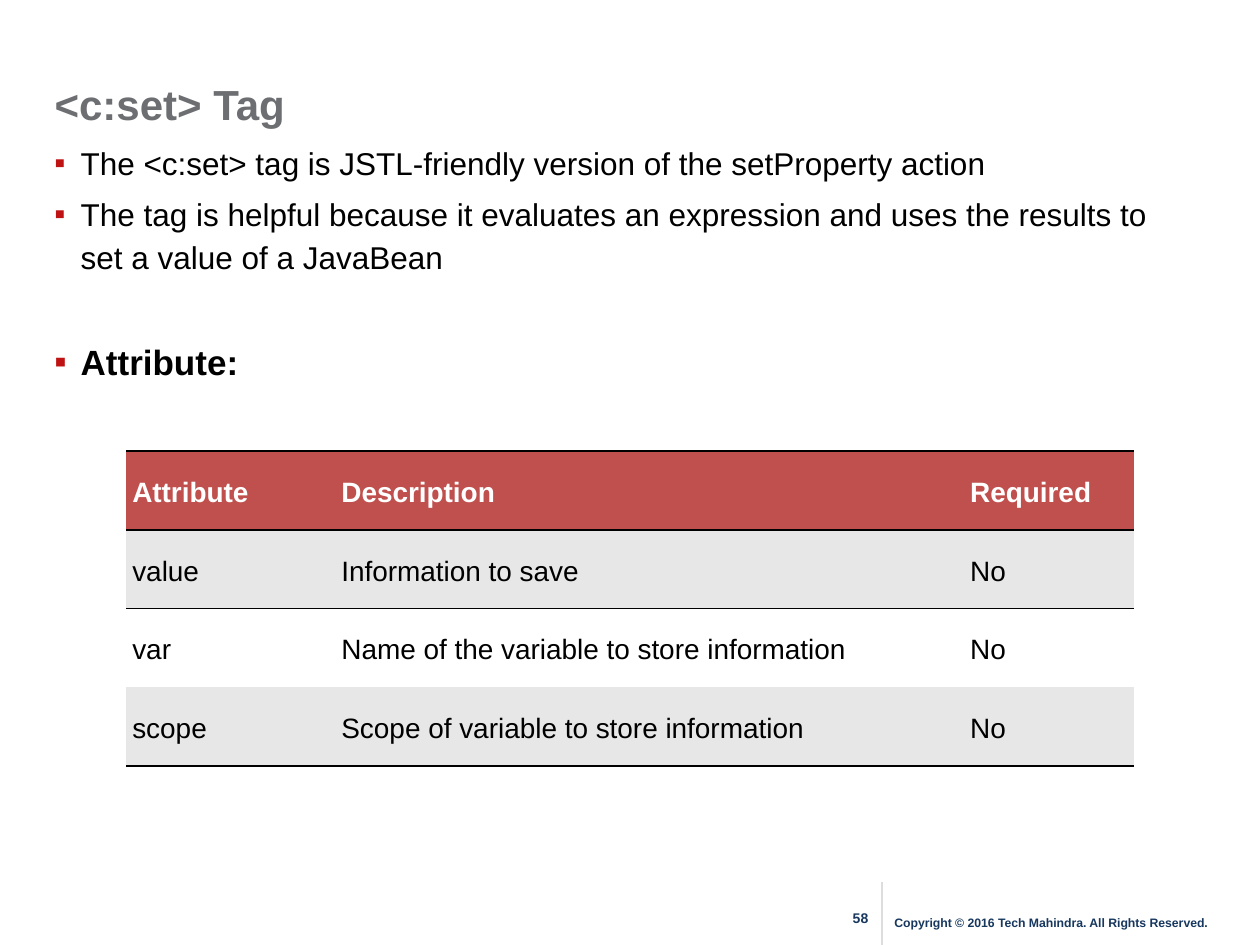
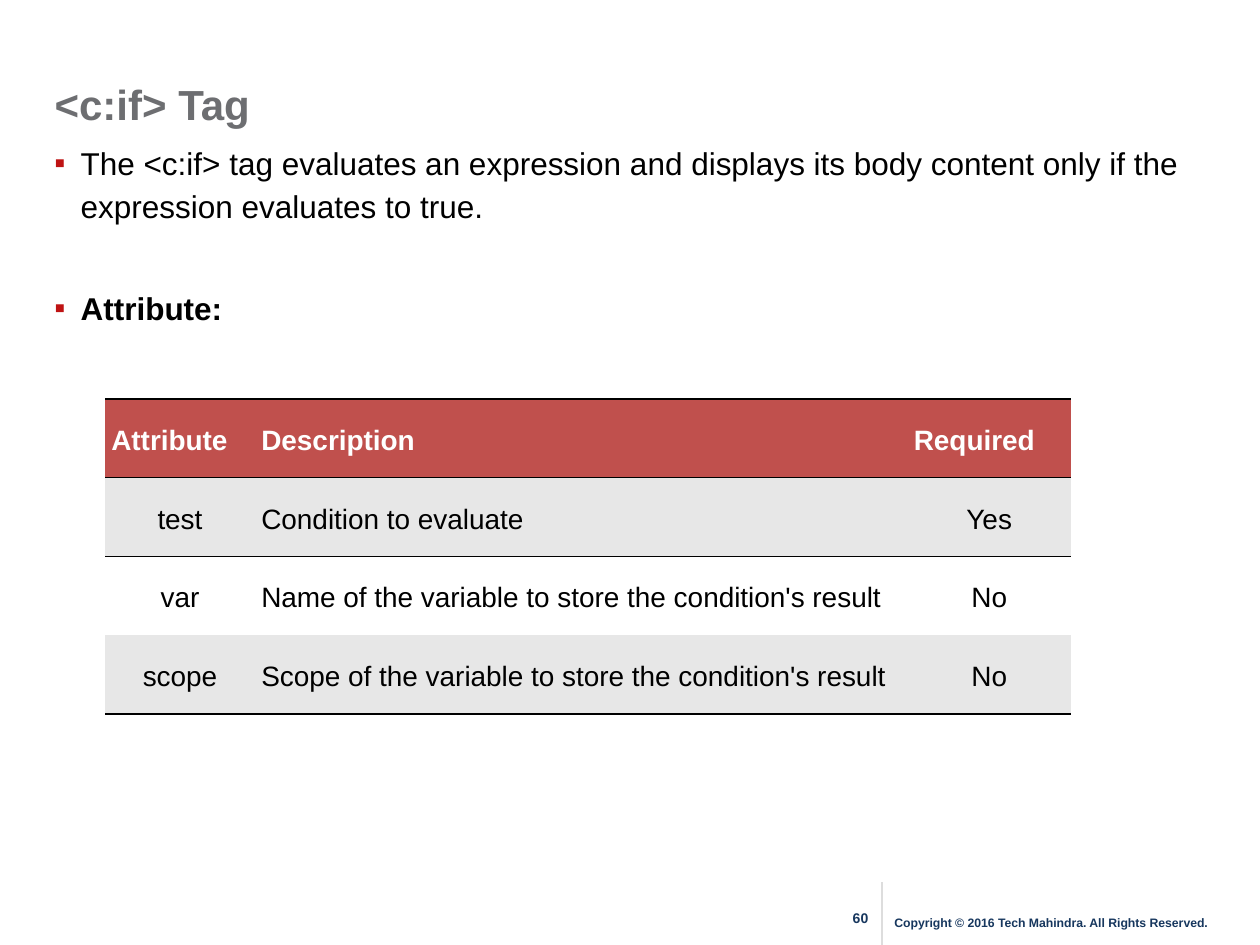
from lxml.etree import SubElement
from pptx import Presentation
from pptx.dml.color import RGBColor
from pptx.enum.shapes import MSO_CONNECTOR
from pptx.enum.text import MSO_ANCHOR, MSO_AUTO_SIZE, PP_ALIGN
from pptx.oxml import parse_xml
from pptx.oxml.ns import nsdecls, qn
from pptx.util import Pt

GREY = RGBColor(0x6D, 0x6E, 0x71)
NAVY = RGBColor(0x17, 0x37, 0x5E)
BLACK = RGBColor(0, 0, 0)
WHITE = RGBColor(0xFF, 0xFF, 0xFF)
BRICK = RGBColor(0xC0, 0x50, 0x4D)
BAND = RGBColor(0xE7, 0xE7, 0xE7)
RULE = RGBColor(0xDD, 0xDD, 0xDD)
RED = RGBColor(0xBF, 0x13, 0x13)
PLAIN = "{2D5ABB26-0587-4C30-8999-92F81FD0307C}"
NOTICE = "Copyright © 2016 Tech Mahindra. All Rights Reserved."
HEADS = ["Attribute", "Description", "Required"]


class Deck:
    face = "Arial"
    indent = 15

    def __init__(self):
        self.show = Presentation()
        self.show.slide_width, self.show.slide_height = Pt(720), Pt(540)
        self.slide = None

    def page(self, title, number):
        self.slide = self.show.slides.add_slide(self.show.slide_layouts[5])
        head = self.slide.shapes.title
        self.place(head, 24, 43.2, 528, 32.4)
        head.text_frame.auto_size = MSO_AUTO_SIZE.NONE
        head.text_frame.vertical_anchor = MSO_ANCHOR.MIDDLE
        self.label(head.text_frame.paragraphs[0], title, 24, GREY, True)
        self.foot(number)

    def place(self, shape, *box):
        for name, value in zip(("left", "top", "width", "height"), box):
            setattr(shape, name, Pt(value))

    def label(self, para, text, size, color, bold=False, align=PP_ALIGN.LEFT):
        para.text = text
        para.alignment = align
        look = {"name": self.face, "size": Pt(size), "bold": bold}
        for name, value in look.items():
            setattr(para.font, name, value)
        para.font.color.rgb = color

    def frame(self, *box, anchor=MSO_ANCHOR.TOP):
        frame = self.slide.shapes.add_textbox(*map(Pt, box)).text_frame
        frame.word_wrap = True
        frame.vertical_anchor = anchor
        return frame

    def foot(self, number):
        page = self.frame(473.75, 516.25, 36, 21.6)
        self.label(page.paragraphs[0], str(number), 8, NAVY, True, PP_ALIGN.CENTER)
        line = self.slide.shapes.add_connector(
            MSO_CONNECTOR.STRAIGHT, Pt(504), Pt(504), Pt(504), Pt(540))
        line.line.color.rgb = RULE
        line.line.width = Pt(1.5)
        SubElement(line.element.spPr, qn("a:effectLst"))
        note = self.frame(504, 518.4, 210, 18, anchor=MSO_ANCHOR.MIDDLE)
        self.label(note.paragraphs[0], NOTICE, 7, NAVY, True)

    def bullets(self, items):
        frame = self.frame(24, 75.6, 660, 432)
        for index, (text, size, bold, gap) in enumerate(items):
            para = frame.add_paragraph() if index else frame.paragraphs[0]
            props = para._p.get_or_add_pPr()
            props.set("marL", str(Pt(self.indent)))
            props.set("indent", str(Pt(-self.indent)))
            color = SubElement(props, qn("a:buClr"))
            SubElement(color, qn("a:srgbClr"), val=str(RED))
            SubElement(props, qn("a:buFont"), typeface=self.face)
            SubElement(props, qn("a:buChar"), char="▪")
            para.line_spacing = 1.14
            para.space_before = Pt(gap)
            self.label(para, text, size, BLACK, bold)

    def edge(self, cell, side):
        line = parse_xml(
            f'<a:{side} {nsdecls("a")} w="{Pt(0.96)}"><a:solidFill>'
            f'<a:srgbClr val="{BLACK}"/></a:solidFill></a:{side}>')
        cell._tc.get_or_add_tcPr().insert(0, line)

    def table(self, left, top, widths, rows, centred=()):
        rows = [HEADS] + rows
        shape = self.slide.shapes.add_table(
            len(rows), len(widths), Pt(left), Pt(top), Pt(sum(widths)), Pt(180))
        shape.element.xpath(".//a:tableStyleId")[0].text = PLAIN
        grid = shape.table
        for col, width in zip(grid.columns, widths):
            col.width = Pt(width)
        for r, row in enumerate(rows):
            grid.rows[r].height = Pt(45)
            for c, text in enumerate(row):
                cell = grid.cell(r, c)
                for side in ("left", "right", "top", "bottom"):
                    setattr(cell, f"margin_{side}", Pt(3.6))
                cell.vertical_anchor = MSO_ANCHOR.MIDDLE
                cell.fill.solid()
                cell.fill.fore_color.rgb = BRICK if r == 0 else BAND if r % 2 else WHITE
                if r in (0, len(rows) - 1):
                    self.edge(cell, "lnB")
                if r < 2:
                    self.edge(cell, "lnT")
                para = cell.text_frame.paragraphs[0]
                para.line_spacing = 1.15
                align = PP_ALIGN.CENTER if r and c in centred else PP_ALIGN.LEFT
                self.label(para, text, 16, BLACK if r else WHITE, r == 0, align)


def main():
    deck = Deck()

    deck.page("<c:set> Tag", 58)
    deck.bullets([
        ("The <c:set> tag is JSTL-friendly version of the setProperty action", 18, False, 0),
        ("The tag is helpful because it evaluates an expression and uses the "
         "results to set a value of a JavaBean", 18, False, 4.5),
        ("Attribute:", 20, True, 34),
    ])
    deck.table(72, 257.75, [119.5, 359.3, 97.2], [
        ["value", "Information to save", "No"],
        ["var", "Name of the variable to store information", "No"],
        ["scope", "Scope of variable to store information", "No"],
    ])

    deck.page("<c:if> Tag", 60)
    deck.bullets([
        ("The <c:if> tag evaluates an expression and displays its body content "
         "only if the expression evaluates to true.", 18, False, 0),
        ("Attribute:", 18, True, 33.6),
    ])
    deck.table(60, 228, [85.7, 372.9, 93.4], [
        ["test", "Condition to evaluate", "Yes"],
        ["var", "Name of the variable to store the condition's result", "No"],
        ["scope", "Scope of the variable to store the condition's result", "No"],
    ], centred=(0, 2))

    deck.show.save("out.pptx")


if __name__ == "__main__":
    main()
